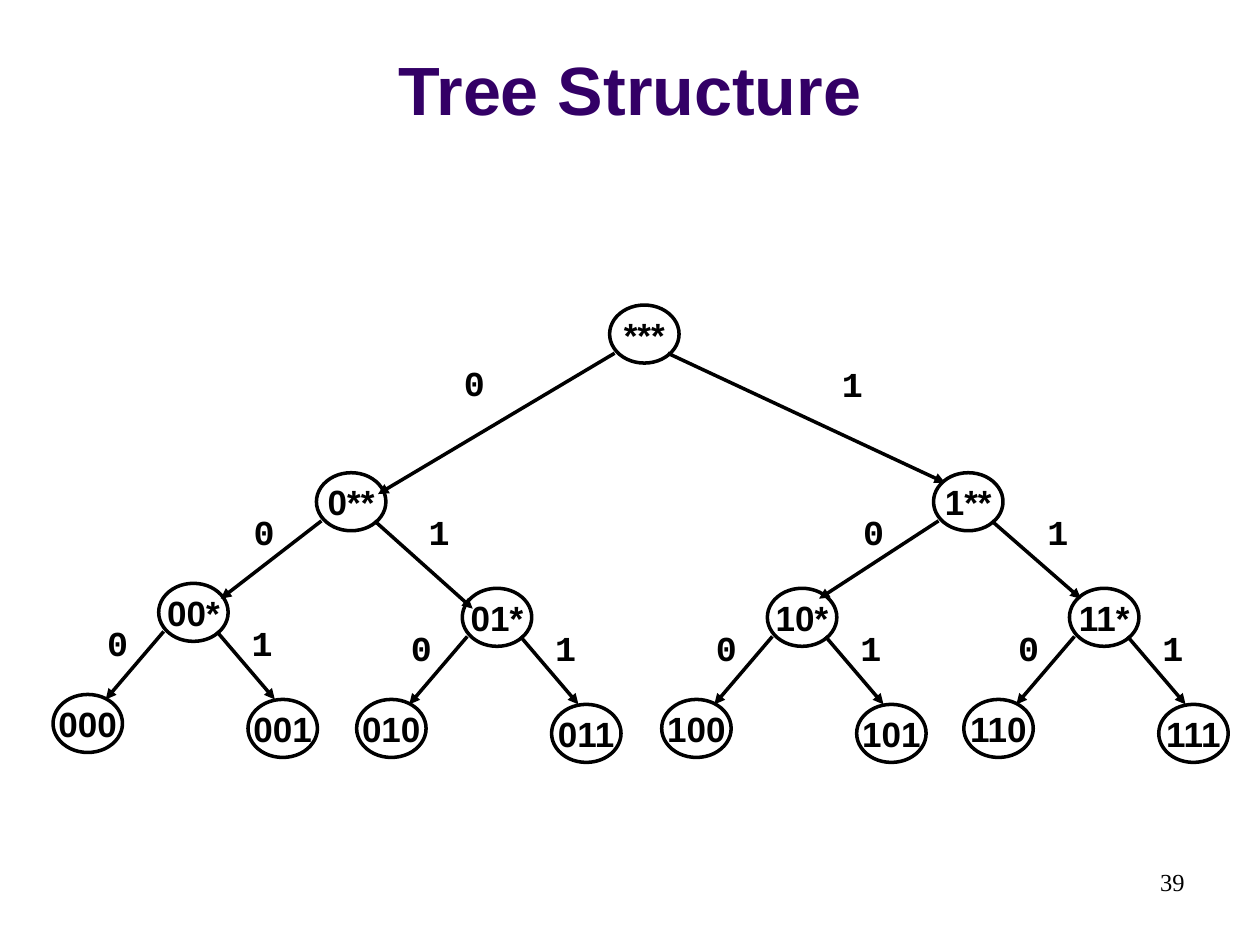
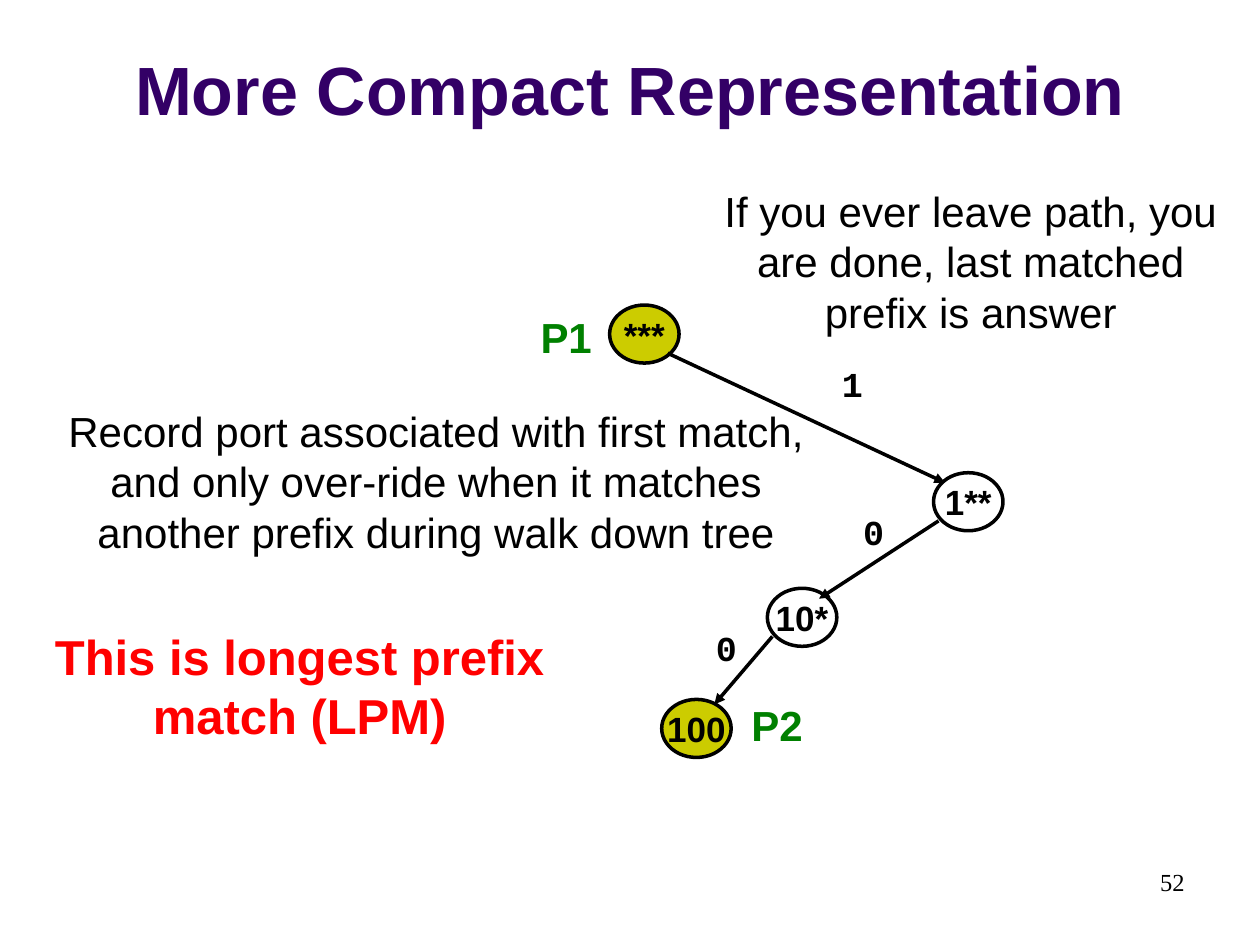
"""Build two slides on prefix trees and longest prefix match."""
from dataclasses import dataclass
from itertools import product
from typing import NamedTuple

from lxml import etree
from pptx import Presentation
from pptx.dml.color import RGBColor
from pptx.enum.shapes import MSO_CONNECTOR, MSO_SHAPE
from pptx.enum.text import MSO_ANCHOR, MSO_AUTO_SIZE, PP_ALIGN
from pptx.oxml.ns import qn
from pptx.slide import Slide
from pptx.text.text import TextFrame
from pptx.util import Cm, Pt

CENTER, RIGHT = PP_ALIGN.CENTER, PP_ALIGN.RIGHT
MIDDLE, BOTTOM = MSO_ANCHOR.MIDDLE, MSO_ANCHOR.BOTTOM
NO_FIT, GROW = MSO_AUTO_SIZE.NONE, MSO_AUTO_SIZE.SHAPE_TO_FIT_TEXT
OVAL, STRAIGHT = MSO_SHAPE.OVAL, MSO_CONNECTOR.STRAIGHT
TITLE_ONLY = 5


class TextStyle(NamedTuple):
    """Look of one kind of text."""
    size: float
    color: str
    bold: bool = True
    font: str = "Arial"
    align: PP_ALIGN = CENTER


@dataclass(frozen=True)
class Theme:
    """Colours, type sizes and line width shared by the slides."""
    ink: str = "000000"
    empty: str = "FFFFFF"
    matched: str = "CCCC00"
    line_width: float = 2
    title: TextStyle = TextStyle(39, "330066")
    node: TextStyle = TextStyle(20, "000000")
    bit: TextStyle = TextStyle(20, "000000", font="Courier New")
    port: TextStyle = TextStyle(24, "008000")
    remark: TextStyle = TextStyle(24, "000000", bold=False)
    conclusion: TextStyle = TextStyle(28, "FF0000")
    page: TextStyle = TextStyle(14, "000000", False, "Times New Roman", RIGHT)


THEME = Theme()


class Point(NamedTuple):
    """Place or offset in centimetres."""
    x: float
    y: float

    def shifted(self, offset: "Point") -> "Point":
        """Return this point moved by an offset."""
        return Point(self.x + offset.x, self.y + offset.y)


class Box(NamedTuple):
    """Left, top, width and height in centimetres."""
    left: float
    top: float
    width: float
    height: float


class Branch(NamedTuple):
    """Arrow tip and bit label of the way into a node."""
    tip: Point
    label: Point


class Note(NamedTuple):
    """Free text beside the tree."""
    text: str
    box: Box
    style: TextStyle


ROOT = "***"
NODE_SIZE = (1.4, 1.17)
BIT_SIZE = (1.35, 1.09)
TITLE_BOX = Box(0, 0.33, 25.4, 2.41)
PAGE_BOX = Box(18.21, 17.35, 5.92, 1.27)

# Inner nodes and the branches between them
NODES = {
    ROOT: Point(12.29, 6.15),
    "0**": Point(6.38, 9.53),
    "1**": Point(18.82, 9.53),
    "00*": Point(3.2, 11.76),
    "01*": Point(9.32, 11.86),
    "10*": Point(15.47, 11.86),
    "11*": Point(21.56, 11.86),
}
BRANCHES = {
    "0**": Branch(Point(7.62, 9.96), Point(8.89, 7.16)),
    "1**": Branch(Point(19.05, 9.73), Point(16.51, 7.19)),
    "00*": Branch(Point(4.45, 12.07), Point(4.65, 10.16)),
    "01*": Branch(Point(9.53, 12.27), Point(8.18, 10.16)),
    "10*": Branch(Point(16.51, 12.07), Point(16.94, 10.16)),
    "11*": Branch(Point(21.79, 12.07), Point(20.65, 10.16)),
}

# Offsets from a parent node, by bit
BRANCH_START = {"0": Point(0.1, 0.97), "1": Point(1.17, 0.97)}
LEAF_OFFSET = {"0": Point(-2.13, 2.24), "1": Point(1.8, 2.34)}
LEAF_BRANCH = {
    "0": Branch(Point(-1.07, 2.34), Point(-1.5, 0.64)),
    "1": Branch(Point(2.34, 2.34), Point(1.41, 0.64)),
}


def last_step(prefix: str) -> tuple[str, str]:
    """Return the parent of a prefix and the bit that leads from it."""
    bits = prefix.rstrip("*")
    return bits[:-1].ljust(len(prefix), "*"), bits[-1]


def add_leaves() -> None:
    """Hang the eight full prefixes below the inner nodes."""
    for leaf in map("".join, product("01", repeat=3)):
        parent, bit = last_step(leaf)
        origin = NODES[parent]
        NODES[leaf] = origin.shifted(LEAF_OFFSET[bit])
        BRANCHES[leaf] = Branch(*(origin.shifted(offset) for offset in LEAF_BRANCH[bit]))


def write(frame: TextFrame, text: str, style: TextStyle) -> None:
    """Fill a text frame with one styled paragraph."""
    frame.text = text
    paragraph = frame.paragraphs[0]
    paragraph.alignment = style.align
    font = paragraph.runs[0].font
    font.name, font.size, font.bold = style.font, Pt(style.size), style.bold
    font.color.rgb = RGBColor.from_string(style.color)


def add_text(slide: Slide, text: str, box: Box, style: TextStyle) -> None:
    """Add a wrapping text box."""
    frame = slide.shapes.add_textbox(*map(Cm, box)).text_frame
    frame.word_wrap = True
    frame.auto_size = GROW
    write(frame, text, style)


def add_node(slide: Slide, prefix: str, fill: str) -> None:
    """Draw one tree node."""
    oval = slide.shapes.add_shape(OVAL, *map(Cm, (*NODES[prefix], *NODE_SIZE)))
    oval.shadow.inherit = False
    oval.fill.solid()
    oval.fill.fore_color.rgb = RGBColor.from_string(fill)
    oval.line.color.rgb = RGBColor.from_string(THEME.ink)
    oval.line.width = Pt(THEME.line_width)
    oval.text_frame.word_wrap = False
    oval.text_frame.vertical_anchor = MIDDLE
    write(oval.text_frame, prefix, THEME.node)


def add_branch(slide: Slide, prefix: str) -> None:
    """Draw the arrow from the parent into a node, with its bit."""
    parent, bit = last_step(prefix)
    branch = BRANCHES[prefix]
    start = NODES[parent].shifted(BRANCH_START[bit])
    arrow = slide.shapes.add_connector(STRAIGHT, *map(Cm, (*start, *branch.tip)))
    arrow.line.color.rgb = RGBColor.from_string(THEME.ink)
    arrow.line.width = Pt(THEME.line_width)
    etree.SubElement(arrow.line._get_or_add_ln(), qn("a:tailEnd"), type="triangle")
    etree.SubElement(arrow._element.spPr, qn("a:effectLst"))
    add_text(slide, bit, Box(*branch.label, *BIT_SIZE), THEME.bit)


def add_tree(slide: Slide, prefixes: list[str], matched: tuple[str, ...] = ()) -> None:
    """Draw the given nodes and the branches into them."""
    for prefix in prefixes:
        add_node(slide, prefix, THEME.matched if prefix in matched else THEME.empty)
    for prefix in prefixes:
        if prefix != ROOT:
            add_branch(slide, prefix)


def add_slide(prs: Presentation, title: str, page: int) -> Slide:
    """Add a slide with its title and page number."""
    slide = prs.slides.add_slide(prs.slide_layouts[TITLE_ONLY])
    heading = slide.shapes.title
    heading.left, heading.top, heading.width, heading.height = map(Cm, TITLE_BOX)
    heading.text_frame.vertical_anchor = BOTTOM
    heading.text_frame.auto_size = NO_FIT
    write(heading.text_frame, title, THEME.title)
    add_text(slide, str(page), PAGE_BOX, THEME.page)
    return slide


NOTES = [
    Note("P2", Box(14.61, 13.97, 2.11, 1.27), THEME.port),
    Note("P1", Box(10.36, 6.15, 2.11, 1.27), THEME.port),
    Note("Record port associated with first match, and only over-ride "
         "when it matches another prefix during walk down tree",
         Box(1.07, 8.05, 15.44, 3.33), THEME.remark),
    Note("This is longest prefix match (LPM)",
         Box(0.64, 12.5, 10.8, 2.64), THEME.conclusion),
    Note("If you ever leave path, you are done, last matched prefix is answer",
         Box(14.17, 3.61, 10.8, 3.33), THEME.remark),
]


def main() -> None:
    """Build and save the presentation."""
    prs = Presentation()
    prs.slide_width, prs.slide_height = Cm(25.4), Cm(19.05)
    add_leaves()

    add_tree(add_slide(prs, "Tree Structure", 39), list(NODES))

    compact = add_slide(prs, "More Compact Representation", 52)
    add_tree(compact, [ROOT, "1**", "10*", "100"], matched=(ROOT, "100"))
    for note in NOTES:
        add_text(compact, *note)

    prs.save("out.pptx")


main()
